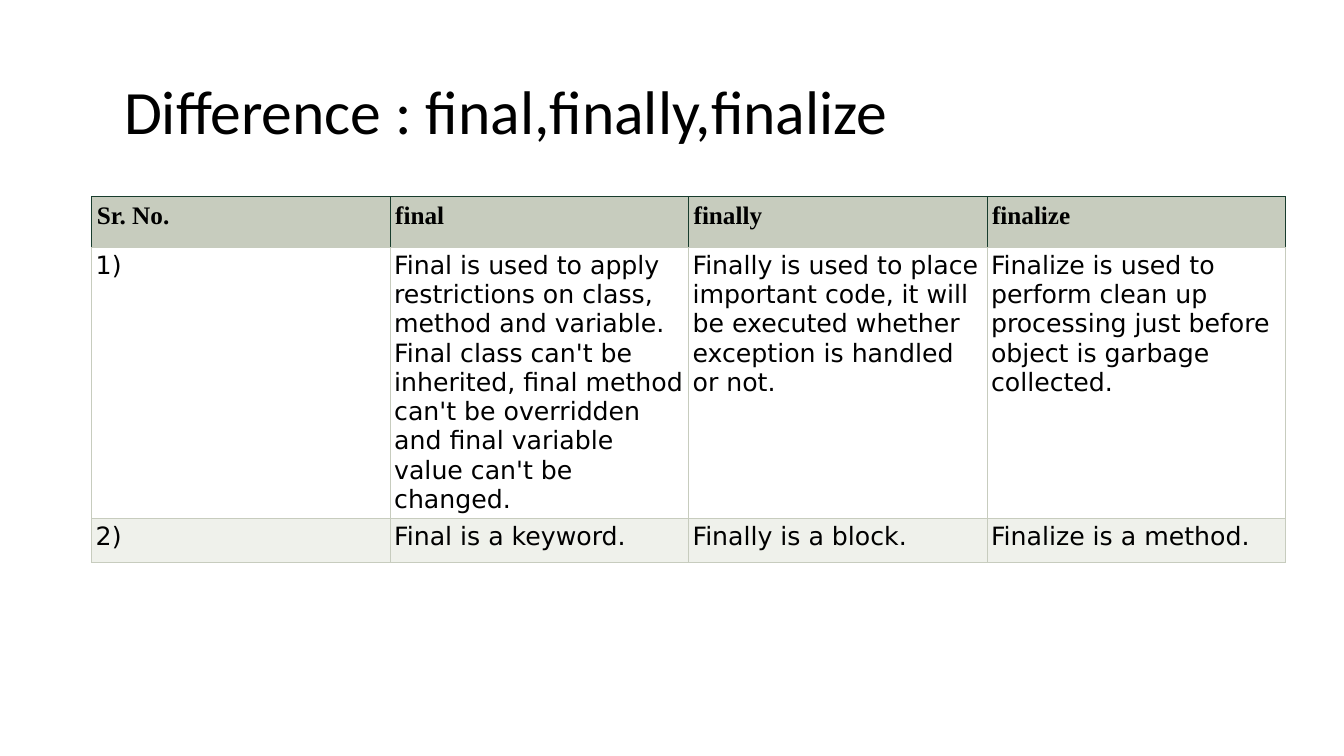
from dataclasses import dataclass

import lxml.etree
import pptx
import pptx.dml.color
import pptx.enum.text
import pptx.oxml.ns
import pptx.util

EMU_PER_PX = 9144  # 100 px to the inch
BLACK = "000000"
SAGE = "C7CCBE"
DARK_GREEN = "183C2D"
BORDER_WIDTH = pptx.util.Pt(0.5)


@dataclass(frozen=True)
class RowStyle:
    height: int
    fill: str
    margin: int
    font: str
    bold: bool
    border: str


@dataclass(frozen=True)
class TableRow:
    style: RowStyle
    texts: tuple[str, ...]


HEADER = RowStyle(50, SAGE, 5, "Times New Roman", True, DARK_GREEN)
TALL = RowStyle(250, "FFFFFF", 4, "DejaVu Sans", False, SAGE)
SHORT = RowStyle(44, "EFF1EB", 4, "DejaVu Sans", False, SAGE)

ROWS = (
    TableRow(HEADER, ("Sr. No.", "final", "finally", "finalize")),
    TableRow(TALL, (
        "1)",
        "Final is used to apply restrictions on class, method and variable. "
        "Final class can't be inherited, final method can't be overridden "
        "and final variable value can't be changed.",
        "Finally is used to place important code, it will be executed "
        "whether exception is handled or not.",
        "Finalize is used to perform clean up processing just before "
        "object is garbage collected.",
    )),
    TableRow(SHORT, ("2)", "Final is a keyword.", "Finally is a block.",
                     "Finalize is a method.")),
)
COLUMN_WIDTH = 296


def px(length: int) -> pptx.util.Emu:
    return pptx.util.Emu(length * EMU_PER_PX)


def color(value: str) -> pptx.dml.color.RGBColor:
    return pptx.dml.color.RGBColor.from_string(value)


def write_text(text_frame, text: str, *, font: str, size: int,
               bold: bool = False, line_spacing: float = 1.0) -> None:
    paragraph = text_frame.paragraphs[0]
    paragraph.line_spacing = line_spacing
    run = paragraph.add_run()
    run.text = text
    run.font.name = font
    run.font.size = pptx.util.Pt(size)
    run.font.bold = bold
    run.font.color.rgb = color(BLACK)


def set_borders(cell, side_colors: dict[str, str]) -> None:
    """Add cell borders; sides must come in the order L, R, T, B."""
    properties = cell._tc.get_or_add_tcPr()
    for side, value in side_colors.items():
        line = lxml.etree.SubElement(
            properties, pptx.oxml.ns.qn(f"a:ln{side}"), w=str(BORDER_WIDTH))
        fill = lxml.etree.SubElement(line, pptx.oxml.ns.qn("a:solidFill"))
        lxml.etree.SubElement(fill, pptx.oxml.ns.qn("a:srgbClr"), val=value)


def format_cell(cell, text: str, style: RowStyle) -> None:
    cell.margin_left = cell.margin_right = px(style.margin)
    cell.margin_top = cell.margin_bottom = px(style.margin)
    write_text(cell.text_frame, text, font=style.font, size=18, bold=style.bold)
    set_borders(cell, {"L": style.border, "R": style.border,
                       "T": style.border, "B": SAGE})
    cell.fill.solid()
    cell.fill.fore_color.rgb = color(style.fill)


def add_title(slide) -> None:
    shape = slide.shapes.add_textbox(px(121), px(78), px(922), px(69))
    text_frame = shape.text_frame
    text_frame.word_wrap = True
    text_frame.vertical_anchor = pptx.enum.text.MSO_ANCHOR.MIDDLE
    text_frame.margin_left = px(2)
    text_frame.margin_top = px(2)
    text_frame.margin_right = text_frame.margin_bottom = 0
    write_text(text_frame, "Difference : final,finally,finalize",
               font="Calibri", size=44, line_spacing=0.9)


def add_comparison_table(slide) -> None:
    column_count = len(ROWS[0].texts)
    height = sum(row.style.height for row in ROWS)
    table = slide.shapes.add_table(
        len(ROWS), column_count, px(91), px(195),
        px(COLUMN_WIDTH * column_count), px(height)).table
    table.horz_banding = False
    for column in table.columns:
        column.width = px(COLUMN_WIDTH)
    for row_index, row in enumerate(ROWS):
        table.rows[row_index].height = px(row.style.height)
        for column_index, text in enumerate(row.texts):
            format_cell(table.cell(row_index, column_index), text, row.style)


def main() -> None:
    presentation = pptx.Presentation()
    presentation.slide_width = px(1333)
    presentation.slide_height = px(750)
    slide = presentation.slides.add_slide(presentation.slide_layouts[6])
    add_comparison_table(slide)
    add_title(slide)
    presentation.save("out.pptx")


if __name__ == "__main__":
    main()
